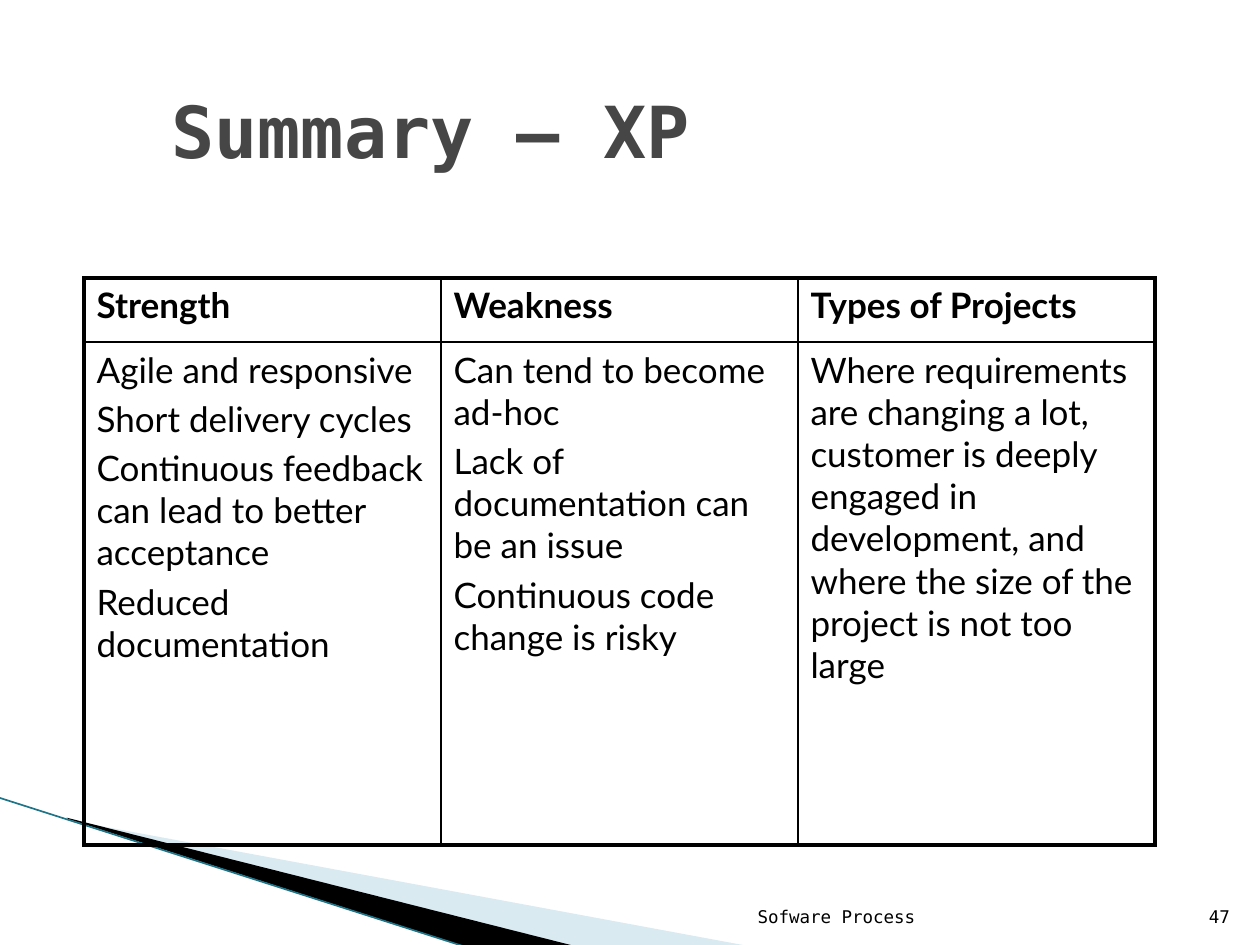
"""Build the XP summary slide: a strengths and weaknesses table over a wedge motif."""
from lxml import etree
from pptx import Presentation
from pptx.dml.color import RGBColor
from pptx.enum.shapes import MSO_CONNECTOR
from pptx.enum.text import MSO_ANCHOR, MSO_AUTO_SIZE, PP_ALIGN
from pptx.oxml.ns import qn
from pptx.util import Inches, Pt

COLORS = {"text": "000000", "title": "464646", "pale": "A0CBDC",
          "dark": "000000", "edge": "1F7488", "border": "000000"}
MONO, SANS = "DejaVu Sans Mono", "Lato"


def add_text(paragraph, text, font, size, color, bold=False):
    run = paragraph.add_run()
    run.text = text
    run.font.name = font
    run.font.size = Pt(size)
    run.font.bold = bold
    run.font.color.rgb = RGBColor.from_string(COLORS[color])


def set_border(cell, side, width):
    line = etree.SubElement(cell._tc.get_or_add_tcPr(), qn(f"a:ln{side}"), w=str(Pt(width)),
                            cap="flat", cmpd="sng", algn="ctr")
    fill = etree.SubElement(line, qn("a:solidFill"))
    etree.SubElement(fill, qn("a:srgbClr"), val=COLORS["border"])
    etree.SubElement(line, qn("a:prstDash"), val="solid")


prs = Presentation()
prs.slide_width, prs.slide_height = Inches(10), Inches(7.5)
slide = prs.slides.add_slide(prs.slide_layouts[5])
shapes = slide.shapes

wedges = [
    ("pale", 40, (0.78, 5.47, 4.16, 1.58),
     [(0.55, 6.51), (5.95, 7.51), (4.56, 7.51), (0.55, 6.5)]),
    ("dark", 100, (-0.06, 6.33, 4.16, 0.92),
     [(0.53, 6.49), (4.57, 7.51), (3.72, 7.52), (0.54, 6.5)]),
]
for color, opacity, frame, corners in wedges:
    points = [(Inches(x), Inches(y)) for x, y in corners]
    outline = shapes.build_freeform(*points[0])
    outline.add_line_segments(points[1:], close=True)
    wedge = outline.convert_to_shape()
    left, top, width, height = map(Inches, frame)
    shift_x, shift_y = wedge.left - left, wedge.top - top
    for point in wedge._element.iter(qn("a:pt")):
        point.set("x", str(int(point.get("x")) + shift_x))
        point.set("y", str(int(point.get("y")) + shift_y))
    for contour in wedge._element.iter(qn("a:path")):
        contour.set("w", str(width))
        contour.set("h", str(height))
    wedge.left, wedge.top, wedge.width, wedge.height = left, top, width, height
    wedge.shadow.inherit = False
    wedge.line.fill.background()
    wedge.fill.solid()
    wedge.fill.fore_color.rgb = RGBColor.from_string(COLORS[color])
    if opacity < 100:
        tone = wedge._element.spPr.find(qn("a:solidFill"))[0]
        etree.SubElement(tone, qn("a:alpha"), val=str(opacity * 1000))

edge = shapes.add_connector(MSO_CONNECTOR.STRAIGHT, Inches(-0.01), Inches(6.33),
                            Inches(3.71), Inches(7.52))
edge.line.color.rgb = RGBColor.from_string(COLORS["edge"])
edge.line.width = Pt(0.95)
etree.SubElement(edge._element.spPr, qn("a:effectLst"))

for text, left, width in [("Sofware Process", 4.79, 2.57), ("47", 9.46, 0.4)]:
    footer = shapes.add_textbox(Inches(left), Inches(7.01), Inches(width), Inches(0.4)).text_frame
    footer.word_wrap = True
    footer.vertical_anchor = MSO_ANCHOR.BOTTOM
    footer.paragraphs[0].alignment = PP_ALIGN.RIGHT
    add_text(footer.paragraphs[0], text, MONO, 10, "text")

title = shapes.title
title.left, title.top = Inches(1.26), Inches(0.23)
title.width, title.height = Inches(8.52), Inches(1.6)
title.text_frame.auto_size = MSO_AUTO_SIZE.NONE
title.text_frame.vertical_anchor = MSO_ANCHOR.MIDDLE
title.text_frame.paragraphs[0].alignment = PP_ALIGN.LEFT
add_text(title.text_frame.paragraphs[0], "Summary – XP", MONO, 41, "title", bold=True)

summary = [
    [["Strength"], ["Weakness"], ["Types of Projects"]],
    [
        ["Agile and responsive", "Short delivery cycles",
         "Continuous feedback can lead to better acceptance", "Reduced documentation"],
        ["Can tend to become ad-hoc", "Lack of documentation can be an issue",
         "Continuous code change is risky"],
        ["Where requirements are changing a lot, customer is deeply engaged in "
         "development, and where the size of the project is not too large"],
    ],
]
row_heights = [0.51, 3.99]
last_row, last_col = len(summary) - 1, len(summary[0]) - 1
table = shapes.add_table(len(summary), len(summary[0]), Inches(2 / 3), Inches(2.205),
                         Inches(8.5), Inches(sum(row_heights))).table
table.first_row = table.horz_banding = False
for r, entries in enumerate(summary):
    table.rows[r].height = Inches(row_heights[r])
    for c, points in enumerate(entries):
        cell = table.cell(r, c)
        outer = {"L": c == 0, "R": c == last_col, "T": r == 0, "B": r == last_row}
        for side, is_outer in outer.items():
            set_border(cell, side, 2.25 if is_outer else 1)
        cell.fill.background()
        for i, point in enumerate(points):
            frame = cell.text_frame
            paragraph = frame.add_paragraph() if i else frame.paragraphs[0]
            paragraph.space_before = Pt(4)
            add_text(paragraph, point, SANS, 20, "text", bold=r == 0)

prs.save("out.pptx")
